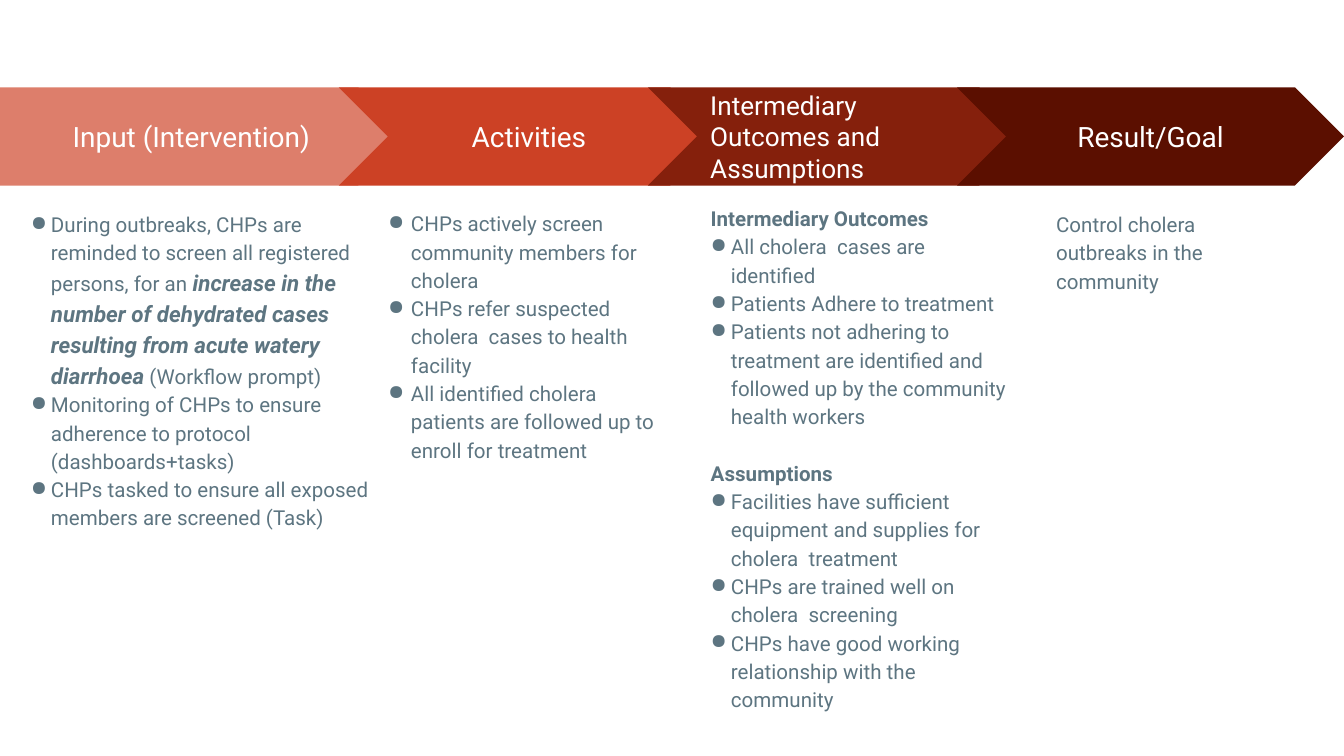
from lxml import etree
from pptx import Presentation
from pptx.dml.color import RGBColor
from pptx.enum import shapes, text
from pptx.oxml import ns
from pptx.util import Pt

WHITE = RGBColor(0xFF, 0xFF, 0xFF)
SLATE = RGBColor(0x5D, 0x75, 0x81)
SALMON = RGBColor(0xDD, 0x7E, 0x6B)
RED = RGBColor(0xCC, 0x41, 0x25)
BRICK = RGBColor(0x85, 0x20, 0x0C)
MAROON = RGBColor(0x5B, 0x0F, 0x00)

PLAIN = dict(name="Roboto", size=Pt(11), bold=False, italic=False)
HEADING = dict(PLAIN, bold=True)
STRONG = dict(PLAIN, size=Pt(12), bold=True, italic=True)
STAGE = dict(PLAIN, size=Pt(15))
LONG_STAGE = dict(PLAIN, size=Pt(14))

PENTAGON = shapes.MSO_SHAPE.PENTAGON
CHEVRON = shapes.MSO_SHAPE.CHEVRON
CENTER = text.PP_ALIGN.CENTER
LEFT = text.PP_ALIGN.LEFT
BAND = (0, 46.8, 720, 52.6)
CHEVRON_LEFT, CHEVRON_STEP, OVERLAP = 181.5, 165.6, 38.2

STAGES = [
    ("Input (Intervention)", PENTAGON, SALMON, STAGE, CENTER),
    ("Activities", CHEVRON, RED, STAGE, CENTER),
    ("Intermediary Outcomes and Assumptions", CHEVRON, BRICK, LONG_STAGE, LEFT),
    ("Result/Goal", CHEVRON, MAROON, STAGE, CENTER),
]

NARROW, WIDE = (10.8, -10.8), (13.7, -12.2)
COLUMNS = [
    ((9.4, 104.4, 198, 270), NARROW, [
        ("bullet", [
            ("During outbreaks, CHPs are reminded to screen all registered persons, for an ", PLAIN),
            ("increase in the number of dehydrated cases resulting from acute watery diarrhoea", STRONG),
            (" (Workflow prompt)", PLAIN)]),
        ("bullet", [("Monitoring of CHPs to ensure adherence to protocol (dashboards+tasks)", PLAIN)]),
        ("bullet", [("CHPs tasked to ensure all exposed members are screened (Task)", PLAIN)]),
    ]),
    ((199.4, 104, 171.4, 142.6), WIDE, [
        ("bullet", [("CHPs actively screen community members for cholera", PLAIN)]),
        ("bullet", [("CHPs refer suspected cholera  cases to health facility", PLAIN)]),
        ("bullet", [("All identified cholera  patients are followed up to enroll for treatment", PLAIN)]),
    ]),
    ((373.7, 101.2, 177.1, 291.6), NARROW, [
        ("text", [("Intermediary Outcomes", HEADING)]),
        ("bullet", [("All cholera  cases are identified", PLAIN)]),
        ("bullet", [("Patients Adhere to treatment", PLAIN)]),
        ("bullet", [("Patients not adhering to treatment are identified and followed up "
                     "by the community health workers", PLAIN)]),
        ("section", [("Assumptions", HEADING)]),
        ("bullet", [("Facilities have sufficient equipment and supplies for cholera  treatment", PLAIN)]),
        ("bullet", [("CHPs are trained well on cholera  screening", PLAIN)]),
        ("bullet", [("CHPs have good working relationship with the community", PLAIN)]),
    ]),
    ((558.7, 104.4, 134.6, 206), NARROW, [
        ("text", [("Control cholera outbreaks in the community", PLAIN)]),
    ]),
]


def set_frame(tf, anchor):
    """Wrap the text and give the frame even margins."""
    margins = dict.fromkeys(("margin_left", "margin_top", "margin_right", "margin_bottom"), Pt(7.2))
    for key, value in dict(margins, word_wrap=True, vertical_anchor=anchor).items():
        setattr(tf, key, value)


def add_run(p, words, style, color):
    """Add a run with the given font values."""
    r = p.add_run()
    r.text = words
    for key, value in style.items():
        setattr(r.font, key, value)
    r.font.color.rgb = color


def add_bullet(p, indent):
    """Give the paragraph a hanging round bullet."""
    pPr = p._p.get_or_add_pPr()
    for key, value in zip(("marL", "indent"), indent):
        pPr.set(key, str(int(Pt(value))))
    color = etree.SubElement(pPr, ns.qn("a:buClr"))
    etree.SubElement(color, ns.qn("a:srgbClr"), val=str(SLATE))
    etree.SubElement(pPr, ns.qn("a:buChar"), char="●")


def add_band(s, box):
    """Place the row of overlapping stage arrows."""
    left, top, width, height = box
    for i, (title, kind, color, style, align) in enumerate(STAGES):
        x = CHEVRON_LEFT + (i - 1) * CHEVRON_STEP if i else 0
        end = CHEVRON_LEFT + i * CHEVRON_STEP + OVERLAP if i < len(STAGES) - 1 else width
        if i == 0:
            end = CHEVRON_LEFT + 36.7
        sp = s.shapes.add_shape(kind, Pt(left + x), Pt(top), Pt(end - x), Pt(height))
        sp.shadow.inherit = False
        sp.fill.solid()
        sp.fill.fore_color.rgb = color
        sp.line.fill.background()
        set_frame(sp.text_frame, text.MSO_ANCHOR.MIDDLE)
        p = sp.text_frame.paragraphs[0]
        p.alignment = align
        add_run(p, title, style, WHITE)


def add_column(s, box, indent, items):
    """Place the notes that belong under one stage."""
    tf = s.shapes.add_textbox(*map(Pt, box)).text_frame
    set_frame(tf, text.MSO_ANCHOR.TOP)
    for i, (kind, runs) in enumerate(items):
        p = tf.add_paragraph() if i else tf.paragraphs[0]
        if kind == "bullet":
            add_bullet(p, indent)
        p.line_spacing = 1.15
        p.space_before = Pt(15.2 if kind == "section" else 0)
        for words, style in runs:
            add_run(p, words, style, SLATE)


def main():
    """Build and save the slide."""
    prs = Presentation()
    prs.slide_width, prs.slide_height = Pt(720), Pt(405)
    s = prs.slides.add_slide(prs.slide_layouts[6])
    add_band(s, BAND)
    for box, indent, items in COLUMNS:
        add_column(s, box, indent, items)
    prs.save("out.pptx")


if __name__ == "__main__":
    main()
